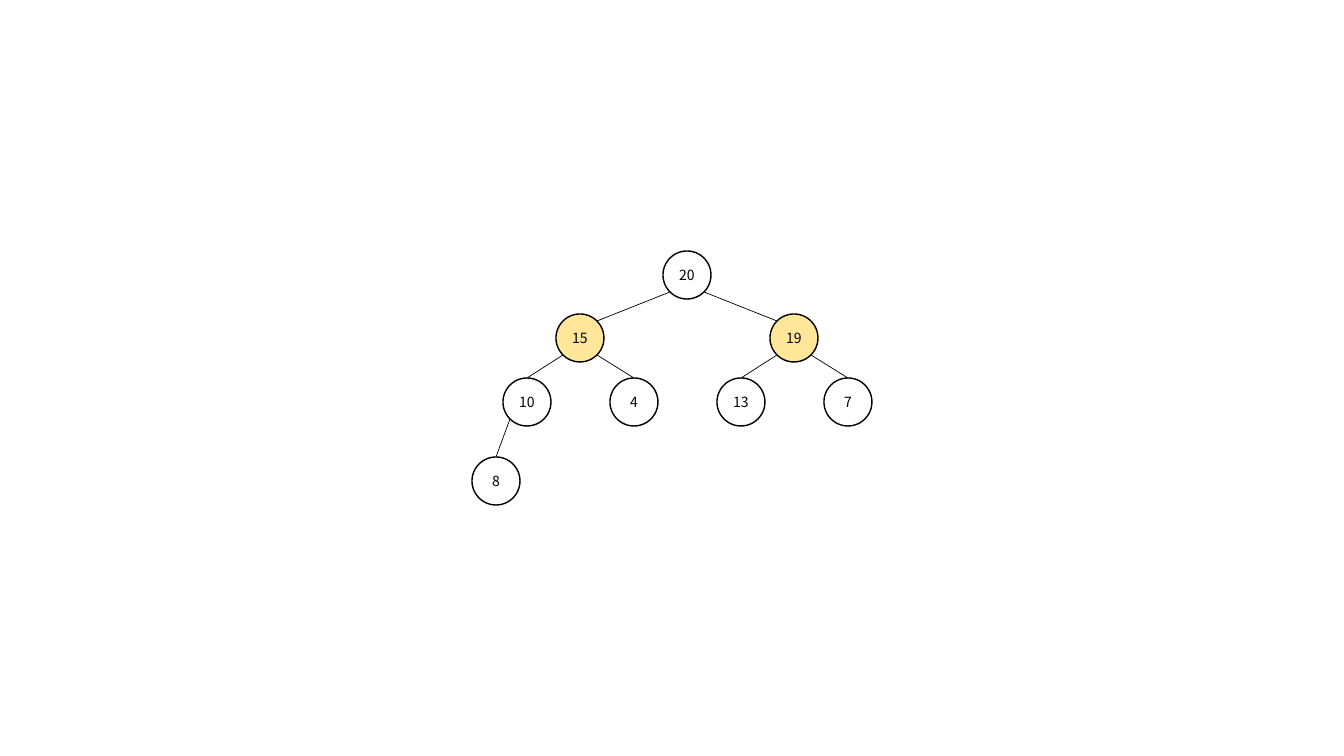
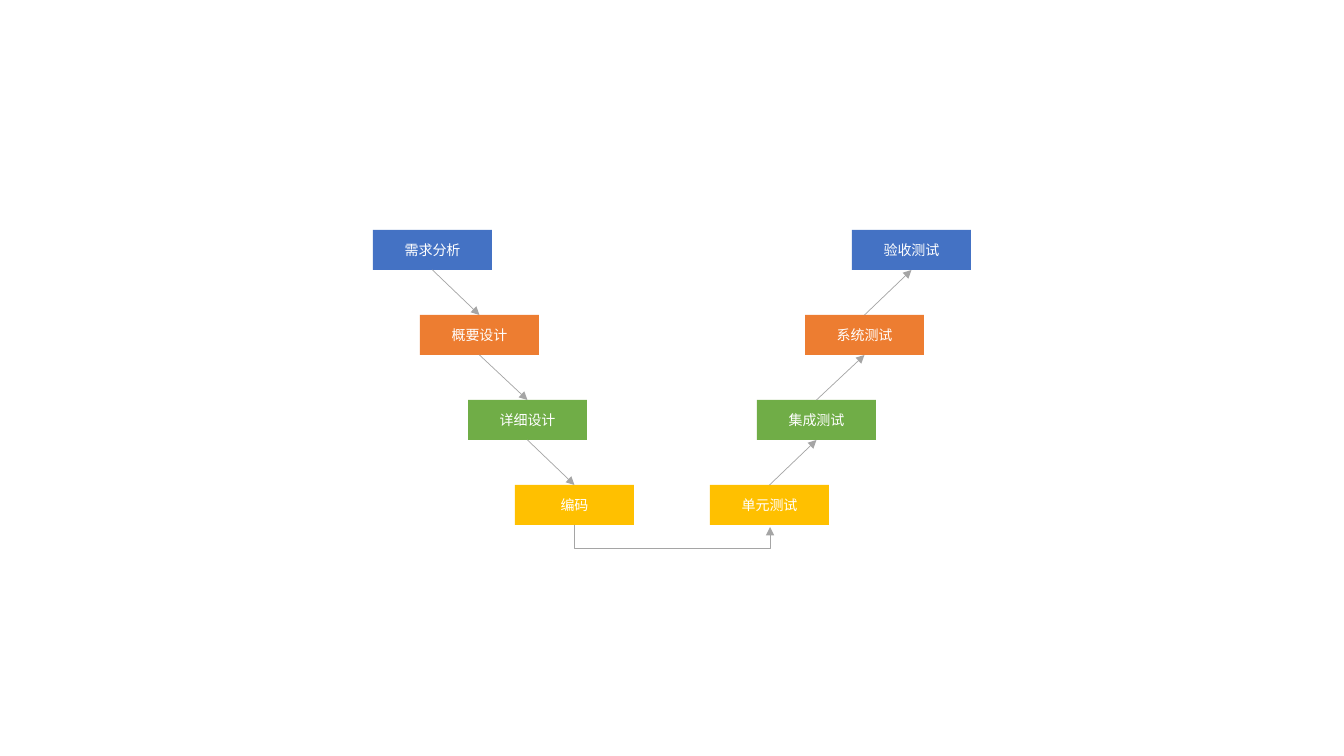
"""Build two diagram slides: a binary heap and the V-model of software development."""
from lxml import etree
from pptx import Presentation, util as u
from pptx.dml.color import RGBColor
from pptx.enum import shapes, text
from pptx.oxml.ns import qn

PX = 914400 / 100.8
BLACK, WHITE, GREY, HIGHLIGHT = "000000", "FFFFFF", "A5A5A5", "FFE699"


def add_label(parent, kind, box, label, font, color, fill=None, line=None, inset=None):
    """Add a preset shape with one centred line of text."""
    shape = parent.add_shape(kind, *[u.Emu(round(value * PX)) for value in box])
    shape.shadow.inherit = False
    if fill:
        shape.fill.solid()
        shape.fill.fore_color.rgb = RGBColor.from_string(fill)
    else:
        shape.fill.background()
    if line:
        shape.line.color.rgb = RGBColor.from_string(line)
        shape.line.width = u.Pt(1)
    else:
        shape.line.fill.background()
    frame = shape.text_frame
    frame.word_wrap = True
    frame.vertical_anchor = text.MSO_ANCHOR.MIDDLE
    if inset is not None:
        frame.margin_left = frame.margin_right = inset
        frame.margin_top = frame.margin_bottom = inset
    paragraph = frame.paragraphs[0]
    paragraph.alignment = text.PP_ALIGN.CENTER
    run = paragraph.add_run()
    run.text = label
    run.font.name = font
    run.font.size = u.Pt(10)
    run.font.color.rgb = RGBColor.from_string(color)
    return shape


def add_line(parent, points, color, arrow=False, kind=shapes.MSO_CONNECTOR.STRAIGHT):
    """Add a thin connector between two points, with an optional arrowhead."""
    connector = parent.add_connector(kind, *[u.Emu(round(value * PX)) for value in points])
    connector.line.color.rgb = RGBColor.from_string(color)
    connector.line.width = u.Pt(0.5)
    if arrow:
        etree.SubElement(connector.line._get_or_add_ln(), qn("a:tailEnd"), type="triangle")
    etree.SubElement(connector._element.spPr, qn("a:effectLst"))
    return connector


presentation = Presentation()
presentation.slide_width = u.Emu(round(1344 * PX))
presentation.slide_height = u.Emu(round(756 * PX))
blank = presentation.slide_layouts[6]

slide = presentation.slides.add_slide(blank)
tree = slide.shapes.add_group_shape().shapes
DIAMETER, RADIUS, DIAGONAL = 48, 24, 17
centres = {
    "20": (687, 275),
    "15": (580, 338), "19": (794, 338),
    "10": (527, 402), "4": (634, 402), "13": (741, 402), "7": (848, 402),
    "8": (496, 481),
}
edges = [("20", "15"), ("20", "19"), ("15", "10"), ("15", "4"),
         ("19", "13"), ("19", "7"), ("10", "8")]
for key, (x, y) in centres.items():
    add_label(tree, shapes.MSO_SHAPE.OVAL, (x - RADIUS, y - RADIUS, DIAMETER, DIAMETER), key,
              "Noto Sans CJK SC", BLACK, fill=HIGHLIGHT if key in ("15", "19") else None,
              line=BLACK, inset=0)
for parent_key, child_key in edges:
    parent_x, parent_y = centres[parent_key]
    child_x, child_y = centres[child_key]
    side = DIAGONAL if child_x > parent_x else -DIAGONAL
    if parent_key == "20":
        end = (child_x - side, child_y - DIAGONAL)
    else:
        end = (child_x, child_y - RADIUS)
    add_line(tree, (parent_x + side, parent_y + DIAGONAL, *end), BLACK)

slide = presentation.slides.add_slide(blank)
levels = [
    ("需求分析", "验收测试", "4472C4"),
    ("概要设计", "系统测试", "ED7D31"),
    ("详细设计", "集成测试", "70AD47"),
    ("编码", "单元测试", "FFC000"),
]
design_boxes, test_boxes = [], []
for level, (design, test, fill) in enumerate(levels):
    shift, top = level * 95 // 2, 230 + level * 85
    for boxes, left, label in ((design_boxes, 373 + shift, design), (test_boxes, 852 - shift, test)):
        boxes.append(add_label(slide.shapes, shapes.MSO_SHAPE.RECTANGLE, (left, top, 119, 40),
                               label, "Quicksand", WHITE, fill=fill))

downward = list(zip(design_boxes, design_boxes[1:], [2] * 3, [0] * 3))
upward = list(zip(test_boxes[1:], test_boxes, [0] * 3, [2] * 3))
for source, target, start_side, end_side in downward + upward:
    arrow = add_line(slide.shapes, (0, 0, 0, 0), GREY, arrow=True)
    arrow.begin_connect(source, start_side)
    arrow.end_connect(target, end_side)

turn = add_line(slide.shapes, (673, 428, 671, 624), GREY, arrow=True,
                kind=shapes.MSO_CONNECTOR.ELBOW)
turn._element.spPr.find(qn("a:xfrm")).set("rot", "16200000")
adjustments = turn._element.spPr.find(qn("a:prstGeom")).get_or_add_avLst()
etree.SubElement(adjustments, qn("a:gd"), name="adj1", fmla="val 1200000")

presentation.save("out.pptx")
